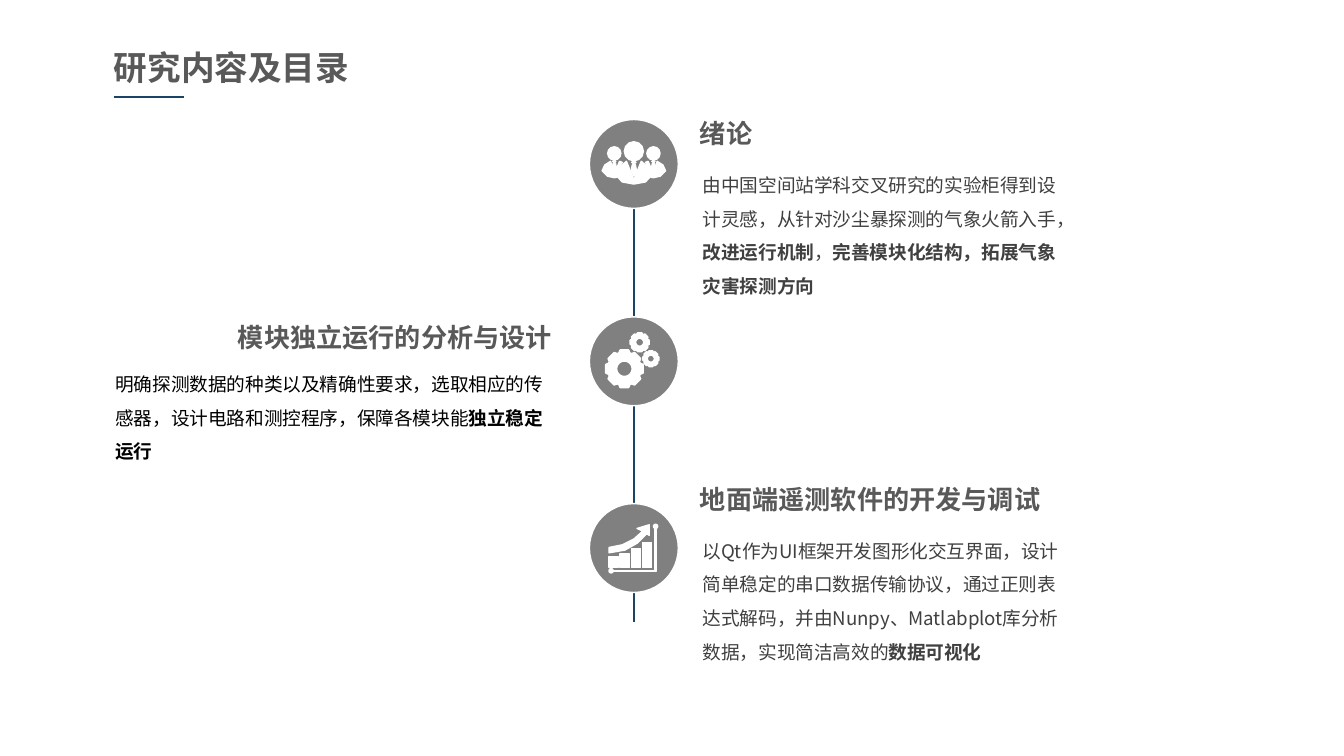
from math import cos, radians, sin

from lxml import etree
from pptx import Presentation
from pptx.dml.color import RGBColor
from pptx.enum.lang import MSO_LANGUAGE_ID as Language
from pptx.enum.shapes import MSO_CONNECTOR as Connector, MSO_SHAPE as Preset
from pptx.enum.text import MSO_AUTO_SIZE as AutoSize, PP_ALIGN as Align
from pptx.oxml.ns import qn
from pptx.util import Cm, Pt

NAVY = RGBColor(0x1B, 0x43, 0x67)
GRAY = RGBColor(0x80, 0x80, 0x80)
HEADING = RGBColor(0x59, 0x59, 0x59)
BODY = RGBColor(0x40, 0x40, 0x40)
BLACK = RGBColor(0, 0, 0)
WHITE = RGBColor(0xFF, 0xFF, 0xFF)
FONT = "Noto Sans CJK SC"

presentation = Presentation()
presentation.slide_width = Cm(25.4)
presentation.slide_height = Cm(14.29)
slide = presentation.slides.add_slide(presentation.slide_layouts[6])
shapes = slide.shapes


def add_preset(preset, left, top, width, height, color=WHITE):
    shape = shapes.add_shape(preset, Cm(left), Cm(top), Cm(width), Cm(height))
    shape.shadow.inherit = False
    shape.fill.solid()
    shape.fill.fore_color.rgb = color
    shape.line.color.rgb = WHITE
    shape.line.width = Pt(0.75)


def add_outline(center_y, contours, weight=0.75):
    contours = [[(Cm(AXIS_X + x), Cm(center_y + y)) for x, y in contour]
                for contour in contours]
    builder = shapes.build_freeform(*contours[0][0], scale=1.0)
    builder.add_line_segments(contours[0][1:], close=True)
    for contour in contours[1:]:
        builder.move_to(*contour[0])
        builder.add_line_segments(contour[1:], close=True)
    shape = builder.convert_to_shape()
    shape.shadow.inherit = False
    shape.fill.solid()
    shape.fill.fore_color.rgb = WHITE
    shape.line.color.rgb = WHITE
    shape.line.width = Pt(weight)


AXIS_X = 11.98
PEOPLE_Y, GEARS_Y, CHART_Y = 3.1, 6.83, 10.36
DISC = 1.68

lines = [(AXIS_X, 2.44, AXIS_X, 11.76), (2.16, 1.83, 3.48, 1.83)]
for line in lines:
    connector = shapes.add_connector(Connector.STRAIGHT, *map(Cm, line))
    connector.line.color.rgb = NAVY
    connector.line.width = Pt(0.75)
    etree.SubElement(connector._element.spPr, qn("a:effectLst"))

for center_y in (PEOPLE_Y, GEARS_Y, CHART_Y):
    add_preset(Preset.OVAL, AXIS_X - DISC / 2, center_y - DISC / 2, DISC, DISC, GRAY)

center_body = [(0.32, 0.23), (0.27, 0.06), (0.14, -0.05), (0, 0.3), (-0.14, -0.05),
               (-0.27, 0.06), (-0.32, 0.23), (-0.22, 0.34), (0, 0.38), (0.22, 0.34)]
side_body = [(0.6, 0.13), (0.55, 0.02), (0.44, -0.05), (0.37, 0.2), (0.27, -0.05),
             (0.22, -0.03), (0.3, 0.1), (0.32, 0.25), (0.37, 0.26), (0.5, 0.23)]
knot = [(0, -0.03), (0.04, 0), (0, 0.03), (-0.04, 0)]
tie = [(0, 0.03), (0.03, 0.05), (0.05, 0.16), (0, 0.26), (-0.05, 0.16), (-0.03, 0.05)]
people = [(0, 0.36, -0.24, 1, -0.03, center_body),
          (-0.37, 0.25, -0.2, 0.75, -0.05, [(-x, y) for x, y in side_body]),
          (0.37, 0.25, -0.2, 0.75, -0.05, side_body)]
for middle, head, head_y, scale, knot_y, body in people:
    add_preset(Preset.OVAL, AXIS_X + middle - head / 2, PEOPLE_Y + head_y - head / 2,
               head, head)
    add_outline(PEOPLE_Y, [body])
    for part in (knot, tie):
        add_outline(PEOPLE_Y, [[(middle + scale * x, knot_y + scale * y)
                                for x, y in part]])

tooth = [(-19, 0.87), (-12.5, 1), (12.5, 1), (19, 0.87)]
gears = [(-0.18, 0.14, 0.36, 0.15), (0.11, -0.36, 0.18, 0.08), (0.32, -0.05, 0.15, 0.07)]
for x, y, radius, hole in gears:
    rim = [(radians(45 * index + angle), radius * ratio)
           for index in range(8) for angle, ratio in tooth]
    bore = [(radians(-15 * index), hole) for index in range(24)]
    add_outline(GEARS_Y, [[(x + r * cos(angle), y + r * sin(angle)) for angle, r in ring]
                          for ring in (rim, bore)], 1)

for index, top in enumerate((0.16, 0.11, 0.01, -0.11)):
    add_preset(Preset.RECTANGLE, AXIS_X - 0.47 + 0.21 * index, CHART_Y + top,
               0.18, 0.37 - top)
growth_arrow = [(0.29, -0.24), (0.29, -0.44), (0.06, -0.37), (0.17, -0.32), (0, -0.17),
                (-0.22, -0.06), (-0.47, -0.01), (-0.47, 0.09), (-0.17, 0.04),
                (0.06, -0.09), (0.24, -0.27)]
axes = [(0.39, -0.37), (0.42, -0.37), (0.42, 0.44), (-0.39, 0.44), (-0.39, 0.42),
        (0.39, 0.42)]
for outline in (growth_arrow, axes):
    add_outline(CHART_Y, [outline])
for x, y in ((0.41, -0.41), (-0.43, 0.43)):
    add_preset(Preset.OVAL, AXIS_X + x - 0.04, CHART_Y + y - 0.04, 0.08, 0.08)

title_format = {"size": Pt(18), "bold": True}
heading_format = {"size": Pt(14), "bold": True}
body_format = {"size": Pt(10), "bold": False}
strong_format = {"size": Pt(10), "bold": True}
texts = [
    ((1.24, 0.79, 6.27, 0.97), HEADING, Align.CENTER, 1.0,
     [("研究内容及目录", title_format)]),
    ((12.98, 2.16, 4.01, 0.79), HEADING, Align.LEFT, Pt(15),
     [("绪论", heading_format)]),
    ((13.03, 2.95, 7.49, 2.82), BODY, Align.LEFT, 1.5,
     [("由中国空间站学科交叉研究的实验柜得到设计灵感，从针对沙尘暴探测的气象火箭入手，",
       body_format),
      ("改进运行机制", strong_format), ("，", body_format),
      ("完善模块化结构，拓展气象灾害探测方向", strong_format)]),
    ((4.11, 6.02, 6.58, 0.79), HEADING, Align.RIGHT, Pt(15),
     [("模块独立运行的分析与设计", heading_format)]),
    ((1.93, 6.71, 8.89, 2.18), BLACK, Align.LEFT, 1.5,
     [("明确探测数据的种类以及精确性要求，选取相应的传感器，设计电路和测控程序，保障各模块能",
       body_format),
      ("独立稳定运行", strong_format)]),
    ((12.98, 9.07, 10.21, 0.79), HEADING, Align.LEFT, Pt(15),
     [("地面端遥测软件的开发与调试", heading_format)]),
    ((13.03, 9.86, 7.49, 2.82), BODY, Align.LEFT, 1.5,
     [("以Qt作为UI框架开发图形化交互界面，设计简单稳定的串口数据传输协议，通过正则表达式解码，"
       "并由Nunpy、Matlabplot库分析数据，实现简洁高效的", body_format),
      ("数据可视化", strong_format)]),
]
for box, color, alignment, spacing, runs in texts:
    frame = shapes.add_textbox(*map(Cm, box)).text_frame
    frame.word_wrap = True
    frame.auto_size = AutoSize.SHAPE_TO_FIT_TEXT
    if runs[0][1] is title_format:
        frame.margin_left = frame.margin_right = Cm(0.18)
        frame.margin_top = frame.margin_bottom = Cm(0.1)
    paragraph = frame.paragraphs[0]
    paragraph.alignment = alignment
    paragraph.line_spacing = spacing
    for text, format_values in runs:
        run = paragraph.add_run()
        run.text = text
        common = {"name": FONT, "language_id": Language.SIMPLIFIED_CHINESE}
        for name, value in {**common, **format_values}.items():
            setattr(run.font, name, value)
        run.font.color.rgb = color
        etree.SubElement(run._r.get_or_add_rPr(), qn("a:ea"), typeface=FONT)

presentation.save("out.pptx")
